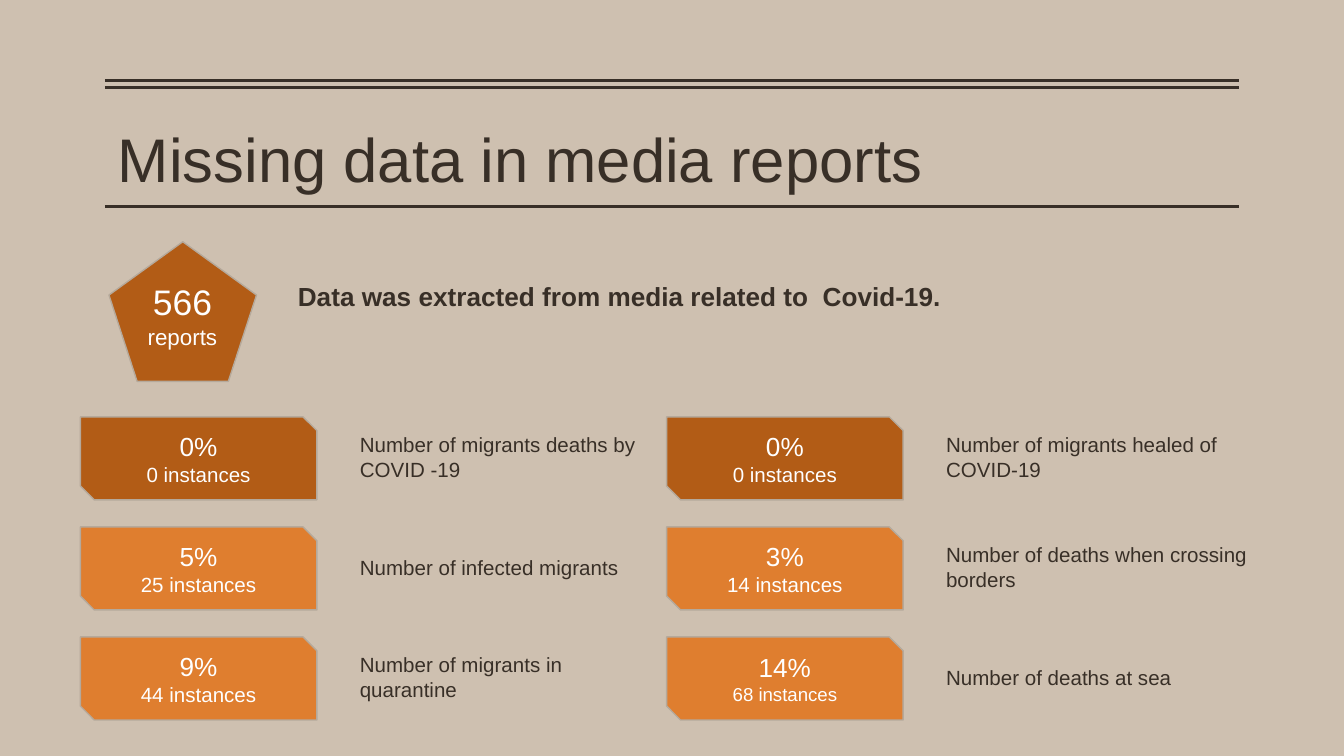
from pptx import Presentation
from pptx.dml.color import RGBColor
from pptx.enum.shapes import MSO_CONNECTOR, MSO_SHAPE
from pptx.enum.text import MSO_ANCHOR, PP_ALIGN
from pptx.oxml.ns import qn
from pptx.util import Cm, Pt
from lxml import etree

STRAIGHT = MSO_CONNECTOR.STRAIGHT
PENTAGON, SNIPPED = MSO_SHAPE.REGULAR_PENTAGON, MSO_SHAPE.SNIP_2_DIAG_RECTANGLE
TOP, MIDDLE = MSO_ANCHOR.TOP, MSO_ANCHOR.MIDDLE
LEFT, CENTER = PP_ALIGN.LEFT, PP_ALIGN.CENTER

SAND = RGBColor(0xCE, 0xC0, 0xB0)
BROWN = RGBColor(0x38, 0x2F, 0x27)
RUST = RGBColor(0xB2, 0x5C, 0x16)
ORANGE = RGBColor(0xDF, 0x7E, 0x2F)
OUTLINE = RGBColor(0xB5, 0xA9, 0x9B)
WHITE = RGBColor(0xFF, 0xFF, 0xFF)


def write(shape, lines, color, align=LEFT, anchor=TOP, top_inset=0.25, bold=False):
    """Fill a shape with (text, size) lines."""
    frame = shape.text_frame
    frame.word_wrap = True
    frame.vertical_anchor = anchor
    frame.margin_left = frame.margin_right = frame.margin_bottom = Cm(0.25)
    frame.margin_top = Cm(top_inset)
    for index, (text, size) in enumerate(lines):
        para = frame.add_paragraph() if index else frame.paragraphs[0]
        para.text = text
        para.alignment = align
        para.font.name = "Arial"
        para.font.size = Pt(size)
        para.font.bold = bold
        para.font.color.rgb = color


def add_block(kind, left, top, width, height, fill):
    block = page.shapes.add_shape(kind, Cm(left), Cm(top), Cm(width), Cm(height))
    block.shadow.inherit = False
    block.fill.solid()
    block.fill.fore_color.rgb = fill
    block.line.color.rgb = OUTLINE
    block.line.width = Pt(0.75)
    return block


deck = Presentation()
deck.slide_width, deck.slide_height = Cm(25.4), Cm(14.29)
page = deck.slides.add_slide(deck.slide_layouts[6])
page.background.fill.solid()
page.background.fill.fore_color.rgb = SAND

# Rules above and below the title
for y in (1.52, 1.65, 3.91):
    rule = page.shapes.add_connector(STRAIGHT, Cm(1.98), Cm(y), Cm(23.42), Cm(y))
    rule.line.color.rgb = BROWN
    rule.line.width = Pt(1.5)
    etree.SubElement(rule._element.spPr, qn("a:effectLst"))

# Title
title = page.shapes.add_textbox(Cm(1.98), Cm(2.16), Cm(21.44), Cm(1.32))
write(title, [("Missing data in media reports", 33)], BROWN, top_inset=0.13)

# Report total and its explanation
add_block(PENTAGON, 2.06, 4.57, 2.79, 2.64, RUST)
total = page.shapes.add_textbox(Cm(1.52), Cm(5.05), Cm(3.86), Cm(2.11))
write(total, [("566", 19), ("reports", 12)], WHITE, CENTER)
scope = page.shapes.add_textbox(Cm(5.38), Cm(5.05), Cm(18.03), Cm(1.68))
write(scope, [("Data was extracted from media related to  Covid-19.", 14)], BROWN, bold=True)

# Two columns of figures: card left, label width, rows of
# (share, instances, instances size, label)
columns = [
    (1.52, 6.02, [
        ("0%", "0 instances", 11, "Number of migrants deaths by COVID -19"),
        ("5%", "25 instances", 11, "Number of infected migrants"),
        ("9%", "44 instances", 11, "Number of migrants in quarantine"),
    ]),
    (12.6, 6.25, [
        ("0%", "0 instances", 11, "Number of migrants healed of COVID-19"),
        ("3%", "14 instances", 11, "Number of deaths when crossing borders"),
        ("14%", "68 instances", 10, "Number of deaths at sea"),
    ]),
]
for left, label_width, rows in columns:
    for row, (share, instances, size, text) in enumerate(rows):
        top = 7.88 + 2.08 * row
        card = add_block(SNIPPED, left, top, 4.47, 1.57, ORANGE if row else RUST)
        write(card, [(share, 14), (instances, size)], WHITE, CENTER, MIDDLE)
        label = page.shapes.add_textbox(Cm(left + 5.03), Cm(top + 0.18), Cm(label_width), Cm(1.4))
        write(label, [(text, 11)], BROWN, anchor=MIDDLE, top_inset=0)

deck.save("out.pptx")
